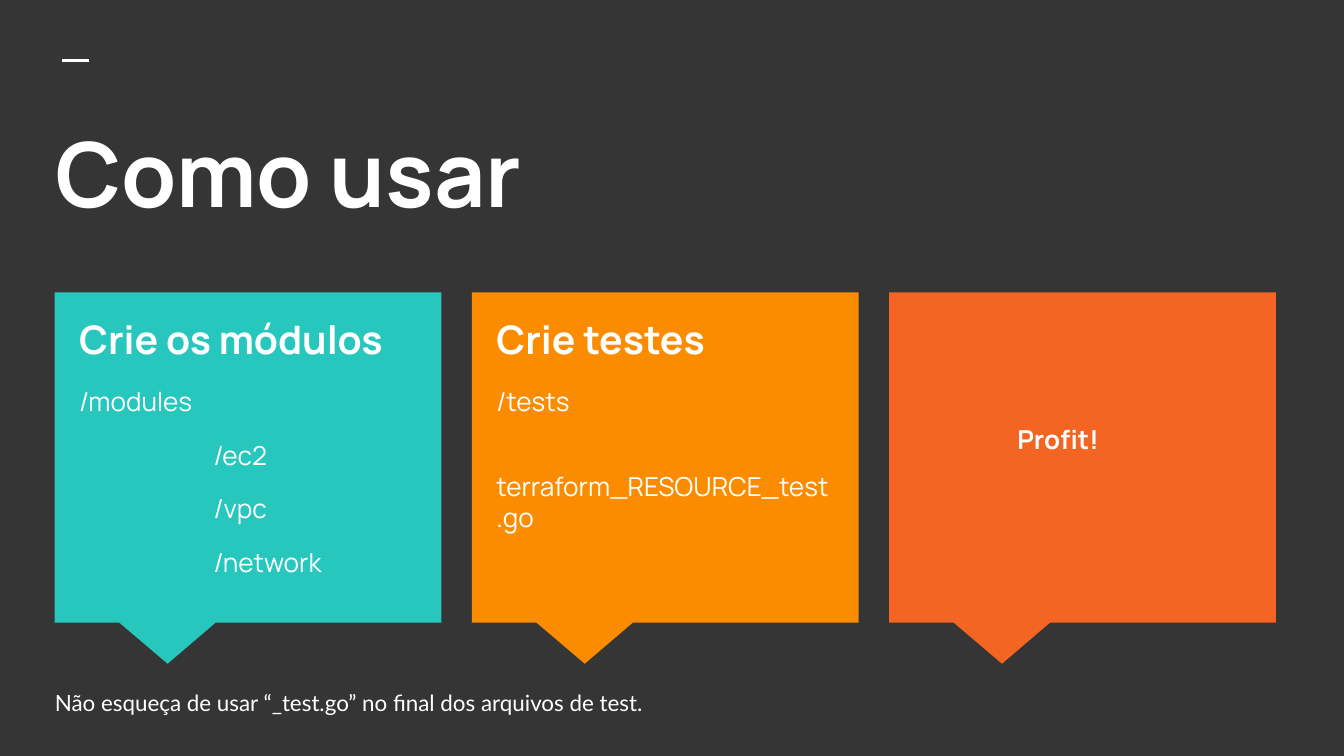
from dataclasses import dataclass

from lxml.etree import SubElement
from pptx import Presentation
from pptx.dml.color import RGBColor
from pptx.enum.shapes import MSO_CONNECTOR, MSO_SHAPE
from pptx.enum.text import MSO_ANCHOR, MSO_AUTO_SIZE, PP_ALIGN
from pptx.oxml.ns import qn
from pptx.util import Pt


@dataclass(frozen=True)
class Theme:
    background: str = "353535"
    ink: str = "FFFFFF"
    teal: str = "27C7BD"
    amber: str = "FB8C00"
    orange: str = "F46524"
    heading_font: str = "Manrope"
    note_font: str = "Lato"
    title_size: float = 48
    heading_size: float = 21
    body_size: float = 14
    note_size: float = 12


def write(paragraph, text, *, font, size, color, bold=False, before=0, after=0, indent=0):
    """Fill one paragraph; indent is its left margin in points."""
    if indent:
        paragraph._p.get_or_add_pPr().set("marL", str(Pt(indent)))
    paragraph.text = text
    paragraph.alignment = PP_ALIGN.LEFT
    paragraph.space_before = Pt(before)
    paragraph.space_after = Pt(after)
    paragraph.font.name = font
    paragraph.font.size = Pt(size)
    paragraph.font.bold = bold
    paragraph.font.color.rgb = RGBColor.from_string(color)


class SlideBuilder:
    def __init__(self, slide, theme):
        self.slide = slide
        self.theme = theme
        fill = slide.background.fill
        fill.solid()
        fill.fore_color.rgb = RGBColor.from_string(theme.background)

    def frame(self, shape, anchor=MSO_ANCHOR.TOP):
        """Prepare a shape's text frame with even insets."""
        frame = shape.text_frame
        frame.word_wrap = True
        frame.auto_size = MSO_AUTO_SIZE.NONE
        frame.vertical_anchor = anchor
        frame.margin_left = frame.margin_right = Pt(7.2)
        frame.margin_top = frame.margin_bottom = Pt(7.2)
        return frame

    def title(self, text, left, top, width, height):
        title = self.slide.shapes.title
        title.left, title.top = Pt(left), Pt(top)
        title.width, title.height = Pt(width), Pt(height)
        write(self.frame(title).paragraphs[0], text, font=self.theme.heading_font,
              size=self.theme.title_size, color=self.theme.ink, bold=True)

    def accent_line(self, left, right, y):
        accent = self.slide.shapes.add_connector(
            MSO_CONNECTOR.STRAIGHT, Pt(left), Pt(y), Pt(right), Pt(y))
        accent.line.color.rgb = RGBColor.from_string(self.theme.ink)
        accent.line.width = Pt(1.5)
        SubElement(accent._element.spPr, qn("a:effectLst"))

    def callout(self, color, left, top, width, height):
        callout = self.slide.shapes.add_shape(
            MSO_SHAPE.RECTANGULAR_CALLOUT, Pt(left), Pt(top), Pt(width), Pt(height))
        callout.adjustments[0] = -0.208
        callout.adjustments[1] = 0.625
        callout.shadow.inherit = False
        callout.fill.solid()
        callout.fill.fore_color.rgb = RGBColor.from_string(color)
        callout.line.fill.background()

    def text(self, lines, left, top, width, height, anchor=MSO_ANCHOR.TOP):
        """Add a box; each line is a pair of wording and format for write()."""
        box = self.slide.shapes.add_textbox(Pt(left), Pt(top), Pt(width), Pt(height))
        frame = self.frame(box, anchor)
        for number, (wording, style) in enumerate(lines):
            paragraph = frame.add_paragraph() if number else frame.paragraphs[0]
            write(paragraph, wording, color=self.theme.ink, **style)


def main():
    presentation = Presentation()
    presentation.slide_width, presentation.slide_height = Pt(720), Pt(405)
    theme = Theme()
    builder = SlideBuilder(
        presentation.slides.add_slide(presentation.slide_layouts[5]), theme)

    builder.accent_line(33.5, 47.8, 32.5)
    builder.title("Como usar", 22.3, 56.2, 679, 80.6)

    heading = dict(font=theme.heading_font, size=theme.heading_size, bold=True)
    body = dict(font=theme.heading_font, size=theme.body_size, before=12)
    folder = dict(body, indent=72)
    file_name = dict(body, before=28.8)
    result = dict(body, bold=True, before=0, indent=55.6)

    # Colour, distance of the text below its usual top, lines
    steps = [
        (theme.teal, 0, [("Crie os módulos", heading), ("/modules", body),
                         ("/ec2", folder), ("/vpc", folder), ("/network", folder)]),
        (theme.amber, 0, [("Crie testes", heading), ("/tests", body),
                          ("terraform_RESOURCE_test.go", file_name)]),
        (theme.orange, 57.6, [("Profit!", result)]),
    ]
    first_left, pitch = 29.3, 223.5
    for column, (color, drop, lines) in enumerate(steps):
        left = first_left + column * pitch
        builder.callout(color, left, 156.7, 207.2, 176.8)
        builder.text(lines, left + 6, 162 + drop, 195, 157.6 - drop)

    note = dict(font=theme.note_font, size=theme.note_size)
    builder.text([("Não esqueça de usar “_test.go” no final dos arquivos de test.", note)],
                 22.3, 366.5, 491.8, 20.2, MSO_ANCHOR.MIDDLE)

    presentation.save("out.pptx")


if __name__ == "__main__":
    main()
